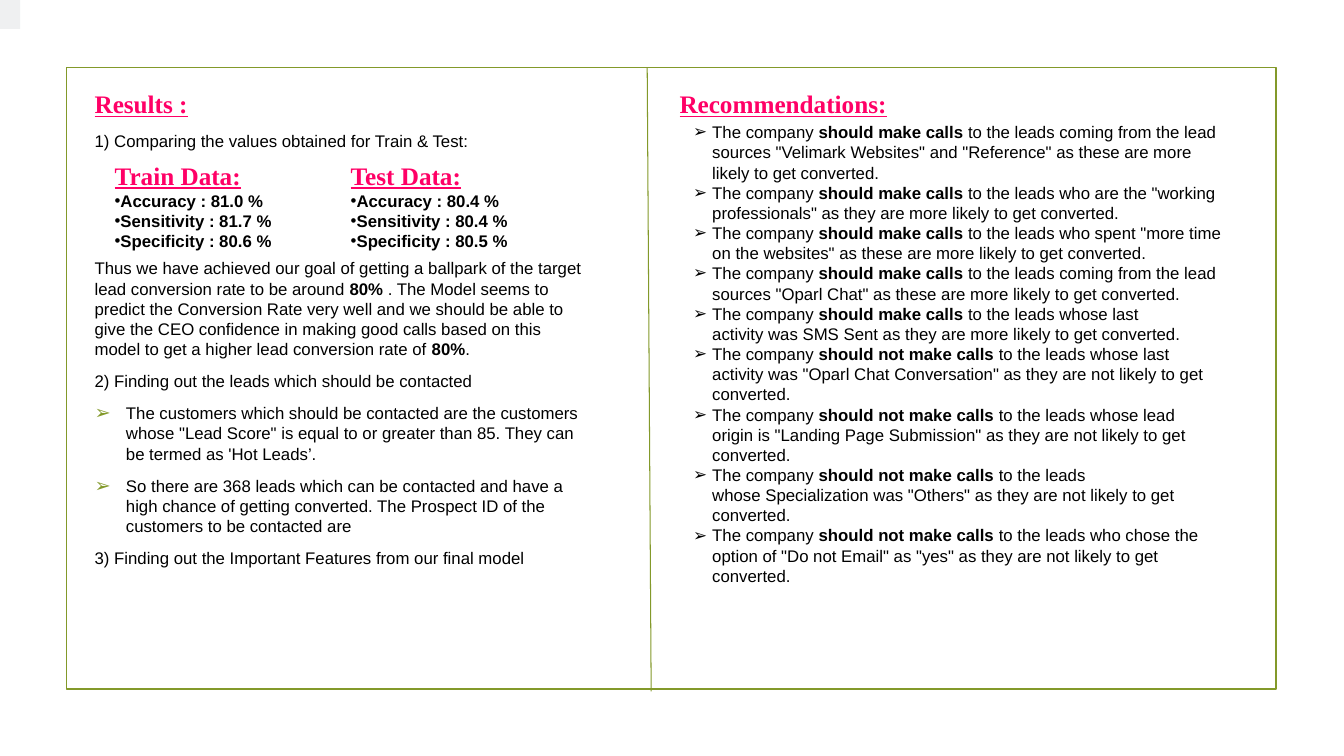
from lxml.etree import SubElement
from pptx import Presentation
from pptx.dml.color import RGBColor
from pptx.enum.shapes import MSO_CONNECTOR, MSO_SHAPE
from pptx.enum.text import MSO_ANCHOR, MSO_AUTO_SIZE, PP_ALIGN
from pptx.oxml.ns import qn
from pptx.util import Cm, Pt

GREEN, PINK, BLACK, GREY = "83992A", "FF0066", "000000", "EFF0F1"

# Stars enclose bold text; a tilde is a no-break space.
RESULTS = [
    ("", "1) Comparing the values obtained for Train & Test:"),
    ("", "Thus we have achieved our goal of getting a ballpark of the target lead "
         "conversion rate to be around *80%* . The Model seems to predict the "
         "Conversion Rate very well and we should be able to give the CEO confidence "
         "in making good calls based on this model to get a higher lead conversion "
         "rate of *80%*."),
    ("", "2) Finding out the leads which should be contacted"),
    ("➢", "The customers which should be contacted are the customers whose "
          "\"Lead Score\" is equal to or greater than 85. They can be termed as "
          "'Hot Leads’."),
    ("➢", "So there are 368 leads which can be contacted and have a high chance of "
          "getting converted. The Prospect ID of the customers to be contacted are"),
    ("", "3) Finding out the Important Features from our final model"),
]
SCORES = [
    ("Train Data:", 2.64, 4.65, (81.0, 81.7, 80.6)),
    ("Test Data:", 8.59, 5.66, (80.4, 80.4, 80.5)),
]
RATES = ("Accuracy", "Sensitivity", "Specificity")
CALL = [
    "coming from the~lead sources \"Velimark Websites\"~and~\"Reference\"~as these are more",
    "who are the~\"working professionals\"~as they are more",
    "who spent~\"more time on the websites\"~as these are more",
    "coming from the~lead sources \"Oparl Chat\"~as these are more",
    "whose~last activity~was~SMS Sent~as they are more",
]
AVOID = [
    "whose~last activity~was~\"Oparl Chat Conversation\"~as they are not",
    "whose~lead origin~is~\"Landing Page Submission\"~as they are not",
    "whose~Specialization~was~\"Others\"~as they are not",
    "who chose the option of~\"Do not Email\" as \"yes\"~as they are not",
]
ADVICE = [("should make calls", lead) for lead in CALL]
ADVICE += [("should not make calls", lead) for lead in AVOID]


def color(code):
    return RGBColor.from_string(code)


def place(shape, left, top, width, height):
    shape.left, shape.top = Cm(left), Cm(top)
    shape.width, shape.height = Cm(width), Cm(height)
    frame = shape.text_frame
    frame.word_wrap = True
    frame.auto_size = MSO_AUTO_SIZE.NONE
    frame.vertical_anchor = MSO_ANCHOR.TOP
    return frame


def add_run(para, text, size=12, face="Arial", ink=BLACK, bold=False, line=False):
    run = para.add_run()
    run.text = text.replace("~", chr(160))
    font = run.font
    font.size, font.name, font.bold, font.underline = Pt(size), face, bold, line
    font.color.rgb = color(ink)


def add_text(para, text):
    """Add runs, bold between stars."""
    for i, part in enumerate(text.split("*")):
        if part:
            add_run(para, part, bold=i % 2 == 1)


def set_para(para, before=0, after=0, mark="", indent=0, ink=None):
    """Set the spacing, indent and bullet of a paragraph."""
    para.alignment = PP_ALIGN.LEFT
    para.space_before, para.space_after = Pt(before), Pt(after)
    props = para._p.get_or_add_pPr()
    props.set("marL", str(Cm(indent)))
    props.set("indent", str(-Cm(indent)))
    if not mark:
        SubElement(props, qn("a:buNone"))
        return
    if ink:
        tint = SubElement(props, qn("a:buClr"))
        SubElement(tint, qn("a:srgbClr")).set("val", ink)
        SubElement(props, qn("a:buSzPct")).set("val", "115000")
    SubElement(props, qn("a:buFont")).set("typeface", "Arial")
    SubElement(props, qn("a:buChar")).set("char", mark)


def add_head(frame, text, after=0):
    para = frame.paragraphs[0]
    set_para(para, after=after)
    add_run(para, text, 18, "Times New Roman", PINK, True, True)


def add_rect(slide, left, top, width, height):
    rect = slide.shapes.add_shape(
        MSO_SHAPE.RECTANGLE, Cm(left), Cm(top), Cm(width), Cm(height))
    rect.shadow.inherit = False
    return rect


def add_box(slide, *area):
    return place(slide.shapes.add_textbox(0, 0, 0, 0), *area)


def main():
    deck = Presentation()
    deck.slide_width, deck.slide_height = Cm(33.87), Cm(19.05)
    slide = deck.slides.add_slide(deck.slide_layouts[1])

    border = add_rect(slide, 1.68, 1.7, 30.48, 15.67)
    border.fill.background()
    border.line.color.rgb = color(GREEN)
    border.line.width = Pt(1.25)

    add_head(place(slide.shapes.title, 16.87, 2.11, 16.99, 1.02), "Recommendations:")

    body = place(slide.placeholders[1], 2.13, 2.11, 12.93, 15.32)
    add_head(body, "Results :", 6)
    for i, (mark, text) in enumerate(RESULTS):
        para = body.add_paragraph()
        gap = 70.5 if i == 1 else 2.5  # room for the scores
        set_para(para, gap, 6, mark, 0.79 if mark else 0, GREEN)
        add_text(para, text)

    for head, left, width, values in SCORES:
        frame = add_box(slide, left, 3.91, width, 2.57)
        add_head(frame, head)
        for rate, value in zip(RATES, values):
            para = frame.add_paragraph()
            set_para(para, mark="•")
            add_run(para, f"{rate} : {value} %", bold=True)

    rule = slide.shapes.add_connector(
        MSO_CONNECTOR.STRAIGHT, Cm(16.31), Cm(1.7), Cm(16.41), Cm(17.42))
    rule.line.color.rgb = color(GREEN)
    rule.line.width = Pt(0.75)
    SubElement(rule._element.spPr, qn("a:effectLst"))

    frame = add_box(slide, 17.22, 2.95, 14, 12.83)
    for i, (act, lead) in enumerate(ADVICE):
        para = frame.add_paragraph() if i else frame.paragraphs[0]
        set_para(para, mark="➢", indent=0.48)
        add_text(para, f"The company~*{act}~*to the leads {lead} likely to get converted.")

    tab = add_rect(slide, 0, 0, 0.51, 0.73)
    tab.fill.solid()
    tab.fill.fore_color.rgb = color(GREY)
    tab.line.fill.background()

    deck.save("out.pptx")


if __name__ == "__main__":
    main()
